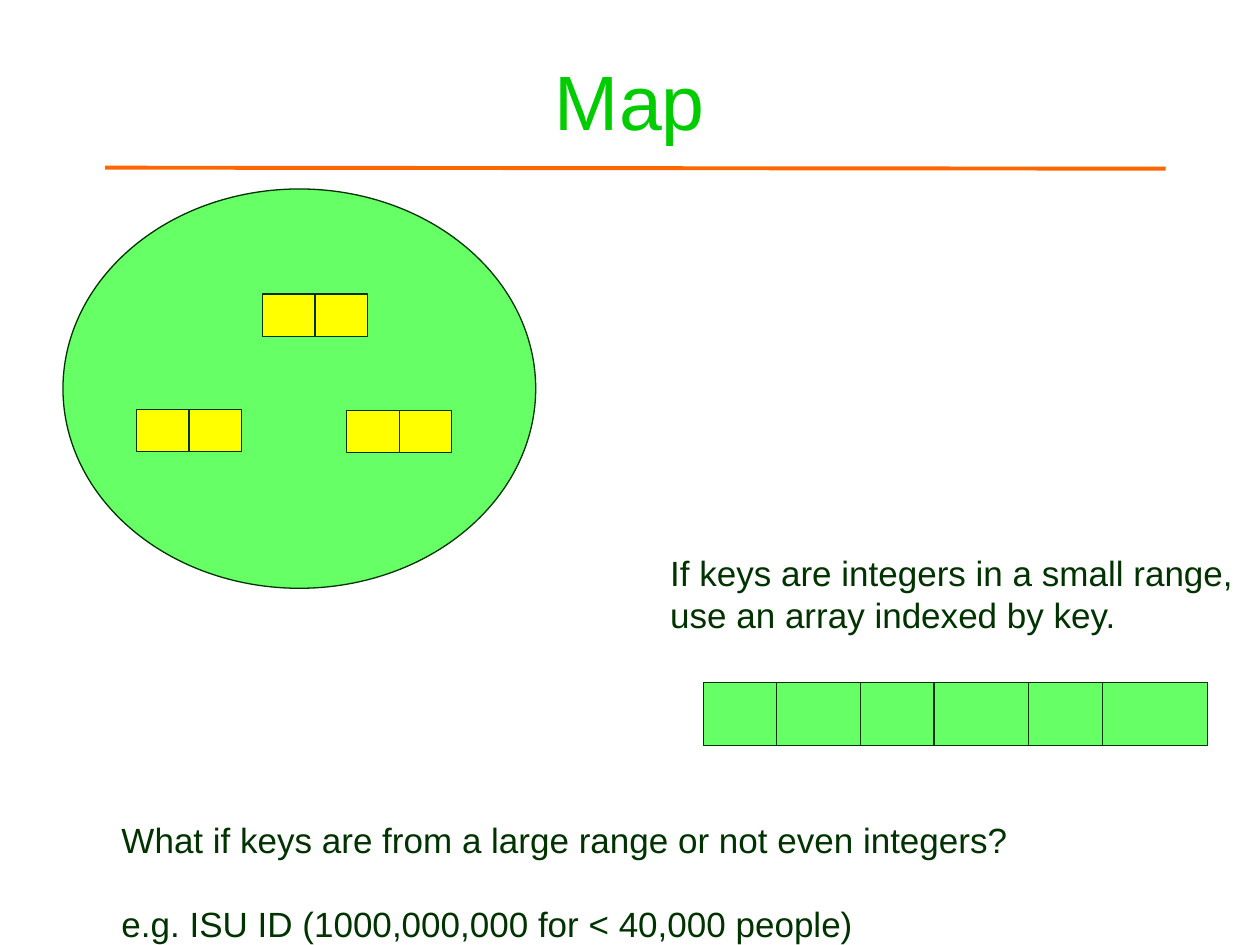
import pptx
import pptx.dml.color
import pptx.enum.shapes
import pptx.enum.text
import pptx.oxml
import pptx.util
from pptx.util import Cm

RGBColor = pptx.dml.color.RGBColor
MSO_SHAPE = pptx.enum.shapes.MSO_SHAPE
PP_ALIGN = pptx.enum.text.PP_ALIGN
MSO_ANCHOR = pptx.enum.text.MSO_ANCHOR

TITLE_GREEN = RGBColor(0x00, 0xCC, 0x00)
DARK_GREEN = RGBColor(0x00, 0x33, 0x00)
LIGHT_GREEN = RGBColor(0x66, 0xFF, 0x66)
YELLOW = RGBColor(0xFF, 0xFF, 0x00)
ORANGE = RGBColor(0xFF, 0x66, 0x00)

ENTRY_CELL_WIDTH = 1.06
ENTRY_CELL_HEIGHT = 0.85
ENTRY_POSITIONS = [(2.75, 8.26), (6.99, 8.28), (5.29, 5.93)]
ARRAY_CELL_WIDTHS = [1.48, 1.69, 1.48, 1.91, 1.48, 2.12]


def add_text(page, left, top, width, height, lines, size, color,
             align=PP_ALIGN.LEFT, anchor=MSO_ANCHOR.TOP, gap=0):
    """Add one paragraph per line, with gap points between them."""
    box = page.shapes.add_textbox(Cm(left), Cm(top), Cm(width), Cm(height))
    frame = box.text_frame
    frame.word_wrap = True
    frame.vertical_anchor = anchor
    frame.text = "\n".join(lines)
    for index, para in enumerate(frame.paragraphs):
        para.alignment = align
        if index and gap:
            para.space_before = pptx.util.Pt(gap)
        for span in para.runs:
            span.font.name = "Arial"
            span.font.size = pptx.util.Pt(size)
            span.font.color.rgb = color


def add_outlined_shape(shapes, kind, left, top, width, height, fill):
    shape = shapes.add_shape(kind, Cm(left), Cm(top), Cm(width), Cm(height))
    shape.shadow.inherit = False
    shape.fill.solid()
    shape.fill.fore_color.rgb = fill
    shape.line.color.rgb = DARK_GREEN
    shape.line.width = pptx.util.Pt(0.75)


def add_cell_row(page, left, top, widths, height, fill):
    """Add a group of rectangles that stand side by side."""
    group = page.shapes.add_group_shape()
    for width in widths:
        add_outlined_shape(group.shapes, MSO_SHAPE.RECTANGLE,
                           left, top, width, height, fill)
        left += width


def add_title_rule(page):
    rule = page.shapes.add_connector(
        pptx.enum.shapes.MSO_CONNECTOR.STRAIGHT,
        Cm(2.12), Cm(3.38), Cm(23.5), Cm(3.4))
    rule.line.color.rgb = ORANGE
    rule.line.width = pptx.util.Pt(2.25)
    properties = rule.element.spPr
    properties.append(properties.makeelement(
        pptx.oxml.ns.qn("a:effectLst"), {}))


def main():
    deck = pptx.Presentation()
    deck.slide_width = Cm(25.4)
    deck.slide_height = Cm(19.05)
    page = deck.slides.add_slide(deck.slide_layouts[6])

    add_text(page, 1.9, 0.43, 21.6, 3.18, ["Map"], 44, TITLE_GREEN,
             align=PP_ALIGN.CENTER, anchor=MSO_ANCHOR.MIDDLE)
    add_title_rule(page)

    add_outlined_shape(page.shapes, MSO_SHAPE.OVAL,
                       1.27, 3.81, 9.53, 8.05, LIGHT_GREEN)
    for left, top in ENTRY_POSITIONS:
        add_cell_row(page, left, top, [ENTRY_CELL_WIDTH] * 2,
                     ENTRY_CELL_HEIGHT, YELLOW)

    add_text(page, 13.26, 11, 12.14, 1.96,
             ["If keys are integers in a small range,",
              "use an array indexed by key."], 20, DARK_GREEN)
    add_cell_row(page, 14.18, 13.76, ARRAY_CELL_WIDTHS, 1.27, LIGHT_GREEN)

    add_text(page, 2.2, 16.38, 18.52, 2.82,
             ["What if keys are from a large range or not even integers?",
              "e.g. ISU ID (1000,000,000 for < 40,000 people)"],
             20, DARK_GREEN, gap=24)

    deck.save("out.pptx")


if __name__ == "__main__":
    main()
